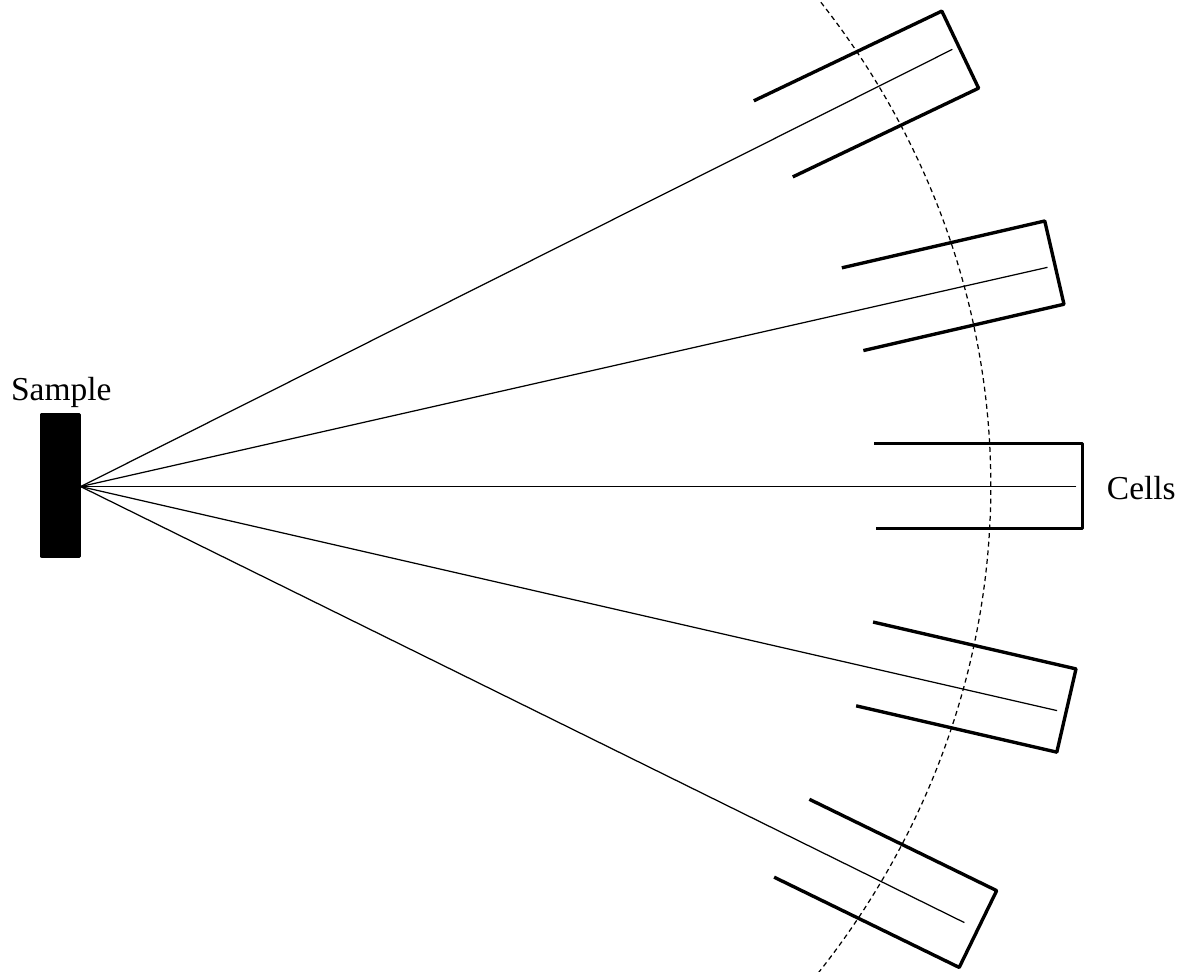
from pptx import Presentation
from pptx.dml.color import RGBColor
from pptx.enum.dml import MSO_LINE_DASH_STYLE as Dash
from pptx.enum.shapes import MSO_CONNECTOR as Link, MSO_SHAPE as Shape
from pptx.enum.text import MSO_AUTO_SIZE as Fit, PP_ALIGN as Align
from pptx.oxml.ns import qn
from pptx.util import Inches, Pt
from lxml.etree import SubElement

COLORS = {"ink": "000000", "paper": "FFFFFF"}
COLUMNS, ROWS = 100, 80.7
UNIT = Inches(0.1)
TEXT = {"size": Pt(20), "name": "Times New Roman"}
FRAME = {"word_wrap": False, "auto_size": Fit.SHAPE_TO_FIT_TEXT}
THIN = {"width": Pt(0.75)}
THICK = {"width": Pt(2)}
DASHED = {**THIN, "dash_style": Dash.DASH}

SOURCE = (6.7, 40.4)
RAY_ENDS = [(79.1, 4.1), (87, 22.2), (89.4, 40.4), (87.8, 59), (80.1, 76.6)]
CELL_OUTLINE = [(0, 0), (17.3, 0), (17.3, 7.1), (0.2, 7.1)]
CELLS = [(63.3, 4.3, 334.5), (70.5, 20.2, 347), (72.6, 36.8, 0),
         (71.5, 53.5, 13), (64.8, 69.8, 26)]


def grid(*cells):
    return [round(cell * UNIT) for cell in cells]


def apply(target, values):
    for name, value in values.items():
        setattr(target, name, value)


class Diagram:
    """Draws black line-art elements on one slide, measured in grid cells."""

    def __init__(self, page):
        self.page = page
        self.shapes = page.shapes
        self.ink = RGBColor.from_string(COLORS["ink"])
        page.background.fill.solid()
        page.background.fill.fore_color.rgb = RGBColor.from_string(COLORS["paper"])

    def stroke(self, item, style):
        item.line.color.rgb = self.ink
        apply(item.line, style)

    def block(self, *place):
        shape = self.shapes.add_shape(Shape.RECTANGLE, *grid(*place))
        shape.shadow.inherit = False
        shape.fill.solid()
        shape.fill.fore_color.rgb = self.ink
        self.stroke(shape, THICK)

    def arc(self, *place, angles):
        shape = self.shapes.add_shape(Shape.ARC, *grid(*place))
        shape.shadow.inherit = False
        for index, degrees in enumerate(angles):
            shape.adjustments[index] = degrees * 0.6
        shape.fill.background()
        self.stroke(shape, DASHED)

    def ray(self, start, end):
        line = self.shapes.add_connector(Link.STRAIGHT, *grid(*start, *end))
        SubElement(line._element.spPr, qn("a:effectLst"))
        self.stroke(line, THIN)

    def cell(self, left, top, rotation):
        corners = [grid(left + x, top + y) for x, y in CELL_OUTLINE]
        builder = self.shapes.build_freeform(*corners[0])
        builder.add_line_segments(corners[1:], close=False)
        shape = builder.convert_to_shape()
        shape.shadow.inherit = False
        shape.rotation = rotation
        shape.fill.background()
        self.stroke(shape, THICK)

    def label(self, text, *place):
        box = self.shapes.add_textbox(*grid(*place))
        apply(box.text_frame, FRAME)
        para = box.text_frame.paragraphs[0]
        para.alignment = Align.CENTER
        span = para.add_run()
        span.text = text
        apply(span.font, TEXT)
        span.font.color.rgb = self.ink


def main():
    deck = Presentation()
    deck.slide_width, deck.slide_height = grid(COLUMNS, ROWS)
    diagram = Diagram(deck.slides.add_slide(deck.slide_layouts[6]))
    diagram.block(3.5, 34.4, 3.1, 11.8)
    diagram.arc(-64.2, -27.7, 146.5, 136.1, angles=(269.64, 89.89))
    for end in RAY_ENDS:
        diagram.ray(end, SOURCE)
    for cell in CELLS:
        diagram.cell(*cell)
    diagram.label("Sample", -0.1, 30, 10.4, 4.4)
    diagram.label("Cells", 90.9, 38.2, 7.8, 4.4)
    deck.save("out.pptx")


if __name__ == "__main__":
    main()
